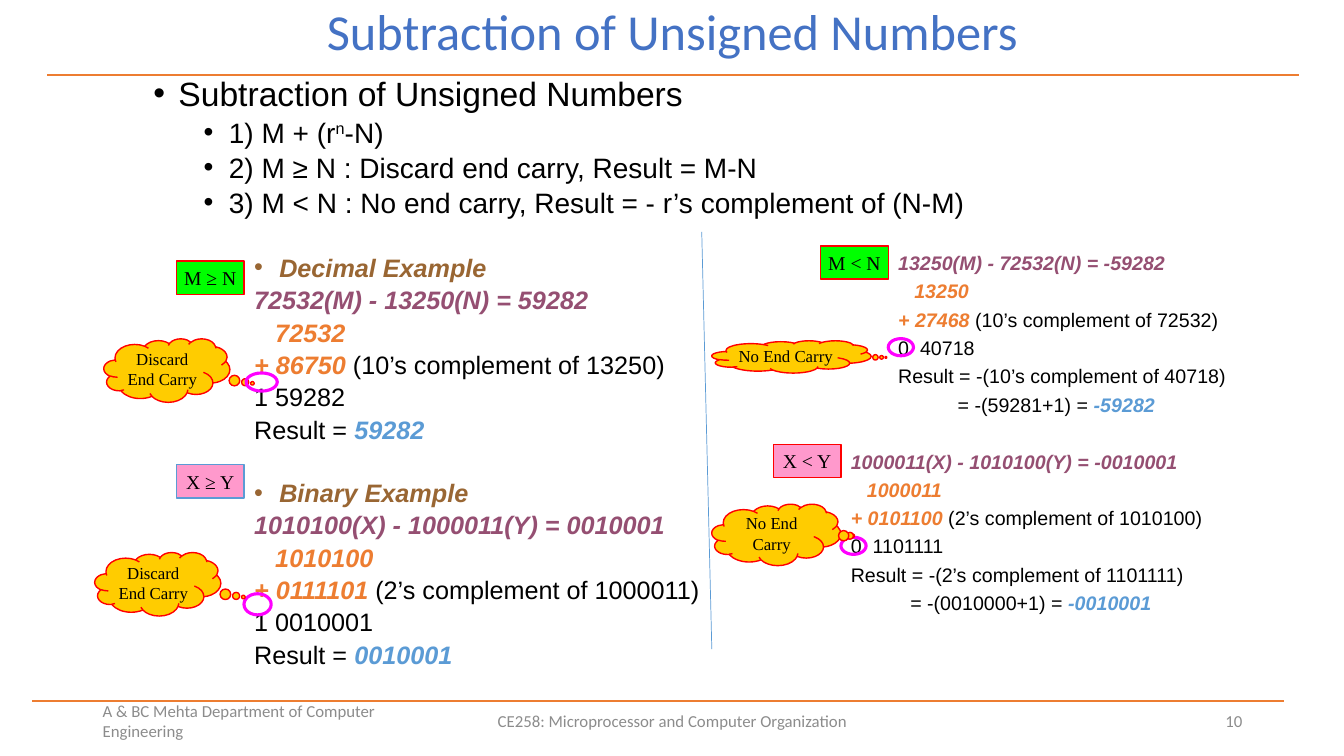
from lxml import etree
from pptx import Presentation
from pptx.dml.color import RGBColor
from pptx.enum.shapes import MSO_CONNECTOR, MSO_SHAPE
from pptx.enum.text import MSO_ANCHOR, MSO_AUTO_SIZE, PP_ALIGN
from pptx.oxml.ns import qn
from pptx.util import Inches, Pt

LEFT, CENTER, RIGHT = PP_ALIGN.LEFT, PP_ALIGN.CENTER, PP_ALIGN.RIGHT
TOP, MIDDLE = MSO_ANCHOR.TOP, MSO_ANCHOR.MIDDLE
NO_AUTOFIT = MSO_AUTO_SIZE.NONE
STRAIGHT = MSO_CONNECTOR.STRAIGHT
RECT, OVAL, CLOUD = MSO_SHAPE.RECTANGLE, MSO_SHAPE.OVAL, MSO_SHAPE.CLOUD_CALLOUT

ORANGE, BLUE, RED, MAGENTA = "ED7D31", "5B9BD5", "FF0000", "FF00FF"
GREEN, PINK, GOLD = "00FF00", "FF99CC", "FFCC00"

# Run styles: colour, bold italic, extra run attributes
RUN_STYLES = {
    "plain": ("000000", False, {}),
    "power": ("000000", False, {"baseline": "30000"}),
    "carry gap": ("000000", False, {"spc": "390"}),
    "heading": ("996633", True, {}),
    "problem": ("954F72", True, {}),
    "operand": (ORANGE, True, {}),
    "answer": (BLUE, True, {}),
}


def rgb(value):
    return RGBColor.from_string(value)


def set_all(target, values):
    for name, value in values.items():
        setattr(target, name, value)


class SlideBuilder:
    label_font = "Times New Roman"
    chrome_font = "Calibri"
    body_font = "Arial"

    def __init__(self, slide):
        self.slide = slide
        self.shapes = slide.shapes

    def frame(self, shape, anchor=TOP, margins=(0.1, 0.05), wrap=True):
        frame = shape.text_frame
        side, end = map(Inches, margins)
        set_all(frame, {"word_wrap": wrap, "auto_size": NO_AUTOFIT,
                        "vertical_anchor": anchor, "margin_left": side,
                        "margin_right": side, "margin_top": end,
                        "margin_bottom": end})
        return frame

    def place(self, shape, box):
        set_all(shape, dict(zip(("left", "top", "width", "height"), map(Inches, box))))

    def single_text(self, frame, text, font, size, color, align):
        paragraph = frame.paragraphs[0]
        paragraph.alignment = align
        run = paragraph.add_run()
        run.text = text
        set_all(run.font, {"name": font, "size": Pt(size)})
        run.font.color.rgb = rgb(color)
        return paragraph

    def title(self, text, box):
        self.place(self.shapes.title, box)
        frame = self.frame(self.shapes.title, MIDDLE)
        heading = self.single_text(frame, text, self.chrome_font, 36, "4472C4", CENTER)
        heading.line_spacing = 0.9

    def footer(self, text, box, align):
        frame = self.frame(self.shapes.add_textbox(*map(Inches, box)), MIDDLE)
        self.single_text(frame, text, self.chrome_font, 12, "8C8C8C", align)

    def line(self, start, end, color, width):
        line = self.shapes.add_connector(STRAIGHT, *map(Inches, start + end))
        line.line.color.rgb = rgb(color)
        line.line.width = Pt(width)
        etree.SubElement(line._element.spPr, qn("a:effectLst"))

    def shape(self, kind, box, fill, color, width):
        shape = self.shapes.add_shape(kind, *map(Inches, box))
        shape.shadow.inherit = False
        if fill:
            shape.fill.solid()
            shape.fill.fore_color.rgb = rgb(fill)
        else:
            shape.fill.background()
        shape.line.color.rgb = rgb(color)
        shape.line.width = Pt(width)
        return shape

    def case_label(self, text, left, top, fill, border=RED):
        label = self.shape(RECT, (left, top, 0.67, 0.33), fill, border, 1)
        frame = self.frame(label, MIDDLE, wrap=False)
        self.single_text(frame, text, self.label_font, 14, "000000", CENTER)

    def cloud(self, text, box, tail):
        cloud = self.shape(CLOUD, box, GOLD, RED, 1)
        for index, offset in enumerate(tail):
            cloud.adjustments[index] = offset
        frame = self.frame(cloud, MIDDLE, margins=(0, 0))
        self.single_text(frame, text, self.label_font, 12, "000000", CENTER)

    def carry_ring(self, *box):
        self.shape(OVAL, box, None, MAGENTA, 2.25)

    def body(self, lines, box):
        body = self.slide.placeholders[1]
        self.place(body, box)
        self.lines(self.frame(body), lines, before=5, spacing=0.84)

    def worked_example(self, lines, box):
        frame = self.frame(self.shapes.add_textbox(*map(Inches, box)))
        self.lines(frame, lines, before=3.4, spacing=1)

    def lines(self, frame, lines, before, spacing):
        for index, line in enumerate(lines):
            paragraph = frame.paragraphs[0] if index == 0 else frame.add_paragraph()
            gap = 0 if index == 0 else line.get("before", before)
            set_all(paragraph, {"level": line["level"], "alignment": LEFT,
                                "line_spacing": spacing, "space_after": Pt(0),
                                "space_before": Pt(gap)})
            bullet = line.get("bullet", False)
            hang = 0.25 if bullet else 0
            margin = line["indent"] + hang
            properties = paragraph._p.get_or_add_pPr()
            properties.set("marL", str(Inches(margin)))
            properties.set("indent", str(-Inches(hang)))
            if bullet:
                etree.SubElement(properties, qn("a:buFont")).set("typeface", self.body_font)
                etree.SubElement(properties, qn("a:buChar")).set("char", "•")
            else:
                etree.SubElement(properties, qn("a:buNone"))
            for text, style in line["runs"]:
                color, strong, attributes = RUN_STYLES[style]
                run = paragraph.add_run()
                run.text = text
                set_all(run.font, {"name": self.body_font, "size": Pt(line["size"]),
                                   "bold": strong, "italic": strong})
                run.font.color.rgb = rgb(color)
                for name, value in attributes.items():
                    run._r.get_or_add_rPr().set(name, value)


def rule(*runs, level=1, size=20):
    return {"level": level, "size": size, "indent": 0.5 + 0.5 * level,
            "bullet": True, "runs": runs}


def step(*runs, size, shift=0, **extra):
    return {"level": 2, "size": size, "indent": 1.5 + shift, "runs": runs, **extra}


def with_carry(heading, problem, first, second, note, total, answer):
    return [
        step((heading, "heading"), size=18, bullet=True, before=27),
        step((problem, "problem"), size=18),
        step((first, "operand"), size=18, shift=0.21),
        step((f"+ {second}", "operand"), (f" {note}", "plain"), size=18),
        step((f"1 {total}", "plain"), size=18),
        step(("Result = ", "plain"), (answer, "answer"), size=18),
    ]


def without_carry(problem, first, second, note, total, result, last, answer):
    return [
        step((problem, "problem"), size=14),
        step((first, "operand"), size=14, shift=0.16),
        step((f"+ {second}", "operand"), (f" {note}", "plain"), size=14),
        step(("0", "plain"), (" ", "carry gap"), (total, "plain"), size=14),
        step((f"Result = {result}", "plain"), size=14),
        step((f"= {last} = ", "plain"), (answer, "answer"), size=14, shift=0.59),
    ]


def main():
    deck = Presentation()
    deck.slide_width, deck.slide_height = Inches(13.33), Inches(7.5)
    page = SlideBuilder(deck.slides.add_slide(deck.slide_layouts[1]))

    # Header and footer
    page.line((0.47, 0.74), (12.88, 0.74), ORANGE, 1.5)
    page.line((0.32, 6.95), (12.73, 6.95), ORANGE, 1.5)
    page.title("Subtraction of Unsigned Numbers", (0.92, 0.14, 11.5, 0.39))
    page.footer("A & BC Mehta Department of Computer Engineering", (0.92, 6.95, 3, 0.4), LEFT)
    page.footer("CE258: Microprocessor and Computer Organization", (4.42, 6.95, 4.5, 0.4), CENTER)
    page.footer("10", (9.42, 6.95, 3, 0.4), RIGHT)

    # Rules and the examples with an end carry
    rules = [
        rule(("Subtraction of Unsigned Numbers", "plain"), level=0, size=24),
        rule(("1) M + (r", "plain"), ("n", "power"), ("-N)", "plain")),
        rule(("2) M ≥ N : Discard end carry, Result = M-N", "plain")),
        rule(("3) M < N : No end carry, Result = - r’s complement of (N-M)", "plain")),
    ]
    decimal = with_carry("Decimal Example", "72532(M) - 13250(N) = 59282", "72532",
                         "86750", "(10’s complement of 13250)", "59282", "59282")
    binary = with_carry("Binary Example", "1010100(X) - 1000011(Y) = 0010001", "1010100",
                        "0111101", "(2’s complement of 1000011)", "0010001", "0010001")
    page.body(rules + decimal + binary, (0.92, 0.74, 11.5, 6.14))

    # Examples without an end carry
    page.worked_example(without_carry(
        "13250(M) - 72532(N) = -59282", "13250", "27468", "(10’s complement of 72532)",
        "40718", "-(10’s complement of 40718)", "-(59281+1)", "-59282"),
        (7.31, 2.44, 5.5, 2.75))
    page.worked_example(without_carry(
        "1000011(X) - 1010100(Y) = -0010001", "1000011", "0101100",
        "(2’s complement of 1010100)", "1101111", "-(2’s complement of 1101111)",
        "-(0010000+1)", "-0010001"), (6.84, 4.41, 5.5, 2.17))
    page.line((6.96, 2.3), (7.06, 6.44), BLUE, 0.5)

    # Case labels
    page.case_label("M ≥ N", 1.75, 2.59, GREEN)
    page.case_label("X ≥ Y", 1.75, 4.61, PINK, BLUE)
    page.case_label("M < N", 8.14, 2.44, GREEN)
    page.case_label("X < Y", 7.67, 4.41, PINK)

    # Carry rings and their clouds
    discard_tail, no_carry_tail = (0.679, 0.204), (0.593, 0.018)
    page.cloud("Discard End Carry", (1.03, 3.36, 1.25, 0.63), discard_tail)
    page.carry_ring(2.44, 3.7, 0.31, 0.18)
    page.carry_ring(2.42, 5.89, 0.27, 0.21)
    page.carry_ring(8.81, 3.36, 0.25, 0.17)
    page.carry_ring(8.34, 5.33, 0.25, 0.17)
    page.cloud("No End Carry", (7.06, 3.38, 1.58, 0.32), no_carry_tail)
    page.cloud("Discard End Carry", (0.94, 5.48, 1.25, 0.63), discard_tail)
    page.cloud("No End Carry", (7.06, 5, 1.28, 0.61), no_carry_tail)

    deck.save("out.pptx")


if __name__ == "__main__":
    main()
